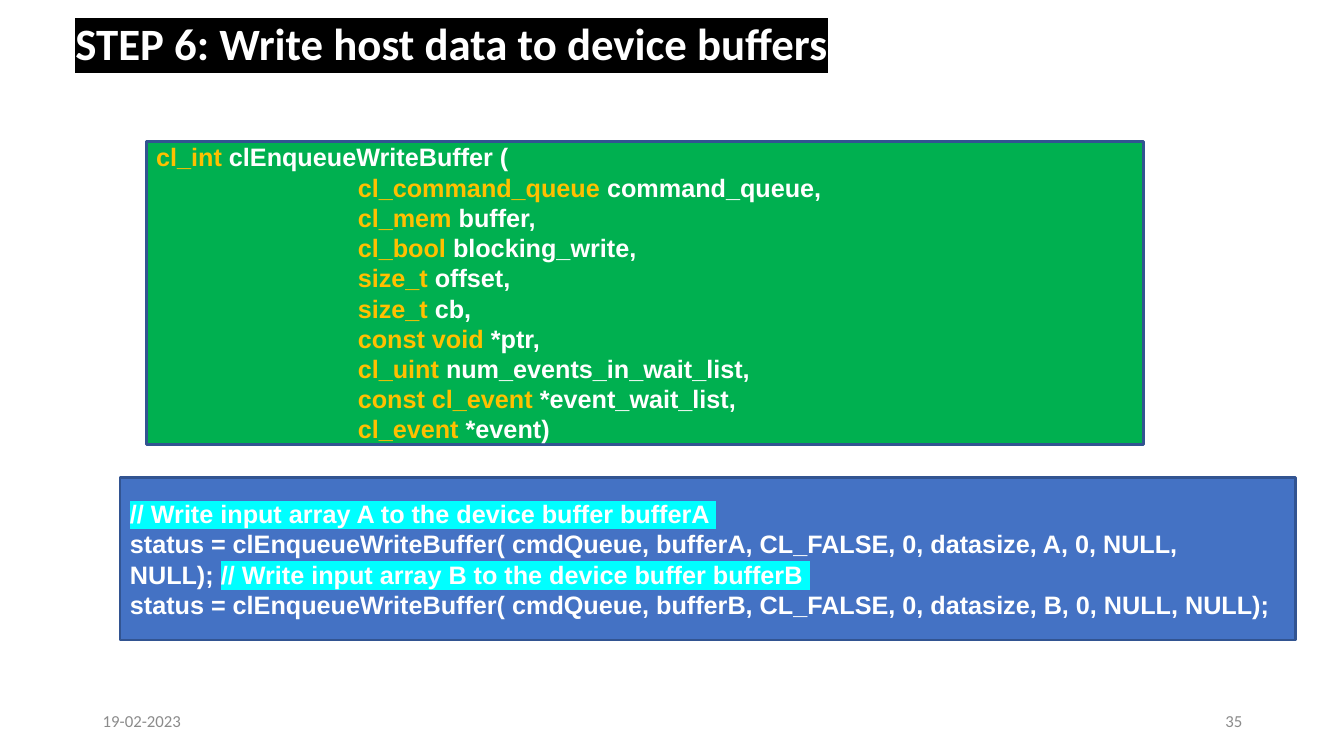
import pptx
import pptx.dml.color
import pptx.enum.shapes
import pptx.enum.text
import pptx.oxml.ns
import pptx.util
from lxml import etree
from pptx.util import Inches

WHITE, AMBER, GREY, CYAN = "FFFFFF", "FFC000", "8B8B8B", "00FFFF"
PARAMETERS = [
    ("cl_command_queue", "command_queue,"),
    ("cl_mem", "buffer,"),
    ("cl_bool", "blocking_write,"),
    ("size_t", "offset,"),
    ("size_t", "cb,"),
    ("const void", "*ptr,"),
    ("cl_uint", "num_events_in_wait_list,"),
    ("const cl_event", "*event_wait_list,"),
    ("cl_event", "*event)"),
]
WRITE_CALLS = [
    [("// Write input array A to the device buffer bufferA ", CYAN)],
    [
        ("status = clEnqueueWriteBuffer( cmdQueue, bufferA, CL_FALSE, 0, datasize, A, 0, NULL, NULL); ", None),
        ("// Write input array B to the device buffer bufferB ", CYAN),
    ],
    [("status = clEnqueueWriteBuffer( cmdQueue, bufferB, CL_FALSE, 0, datasize, B, 0, NULL, NULL);", None)],
]


def color(value):
    """Turn a hex string into a colour."""
    return pptx.dml.color.RGBColor.from_string(value)


def set_font(paragraph, name, size, bold=False, text_color=WHITE):
    """Set the font shared by all runs of a paragraph."""
    font = paragraph.font
    font.name, font.size, font.bold = name, pptx.util.Pt(size), bold
    font.color.rgb = color(text_color)


def add_run(paragraph, text, text_color=WHITE, highlight=None):
    """Append a coloured run, optionally highlighted."""
    run = paragraph.add_run()
    run.text = text
    run.font.color.rgb = color(text_color)
    if highlight:
        marker = etree.SubElement(run.font._element, pptx.oxml.ns.qn("a:highlight"))
        etree.SubElement(marker, pptx.oxml.ns.qn("a:srgbClr"), val=highlight)


def next_paragraph(frame, index):
    """Return the first paragraph of a frame or append another."""
    return frame.add_paragraph() if index else frame.paragraphs[0]


def add_text_frame(slide, box):
    """Add a wrapping, vertically centred text box."""
    frame = slide.shapes.add_textbox(*map(Inches, box)).text_frame
    frame.word_wrap = True
    frame.vertical_anchor = pptx.enum.text.MSO_ANCHOR.MIDDLE
    return frame


def add_title(slide, box, text):
    """Add the title on a black band that runs on to a tab stop."""
    title = add_text_frame(slide, box).paragraphs[0]
    title.line_spacing = 0.9
    tabs = etree.SubElement(title._p.get_or_add_pPr(), pptx.oxml.ns.qn("a:tabLst"))
    etree.SubElement(tabs, pptx.oxml.ns.qn("a:tab"), pos=str(Inches(7.76)), algn="l")
    set_font(title, "Calibri", 32, True)
    add_run(title, text + "\t", highlight="000000")


def add_footer(slide, box, text, alignment):
    """Add one grey footer entry."""
    entry = add_text_frame(slide, box).paragraphs[0]
    entry.alignment = alignment
    set_font(entry, "Calibri", 12, text_color=GREY)
    entry.add_run().text = text


def add_panel(slide, box, fill):
    """Add a filled, outlined rectangle and return its text frame."""
    panel = slide.shapes.add_shape(pptx.enum.shapes.MSO_SHAPE.RECTANGLE, *map(Inches, box))
    panel.shadow.inherit = False
    panel.fill.solid()
    panel.fill.fore_color.rgb = color(fill)
    panel.line.color.rgb = color("325491")
    panel.line.width = pptx.util.Pt(2)
    frame = panel.text_frame
    frame.word_wrap = True
    frame.vertical_anchor = pptx.enum.text.MSO_ANCHOR.MIDDLE
    return frame


def add_signature(slide, box):
    """Add the function signature with indented parameters."""
    frame = add_panel(slide, box, "00B050")
    for index, (kind, name) in enumerate([("cl_int", "clEnqueueWriteBuffer (")] + PARAMETERS):
        line = next_paragraph(frame, index)
        line.alignment = pptx.enum.text.PP_ALIGN.LEFT
        if index:
            line._p.get_or_add_pPr().set("marL", str(Inches(2)))
        set_font(line, "Arial", 18, True)
        add_run(line, kind + " ", AMBER)
        add_run(line, name)


def add_example(slide, box):
    """Add the example calls with highlighted comments."""
    frame = add_panel(slide, box, "4472C4")
    for index, pieces in enumerate(WRITE_CALLS):
        line = next_paragraph(frame, index)
        line.alignment = pptx.enum.text.PP_ALIGN.LEFT
        set_font(line, "Arial", 18, True)
        for text, highlight in pieces:
            add_run(line, text, highlight=highlight)


def main():
    """Build the slide and save it."""
    deck = pptx.Presentation()
    deck.slide_width, deck.slide_height = Inches(13.33), Inches(7.5)
    slide = deck.slides.add_slide(deck.slide_layouts[6])
    align = pptx.enum.text.PP_ALIGN
    add_footer(slide, (0.92, 6.95, 3, 0.4), "19-02-2023", align.LEFT)
    add_footer(slide, (9.42, 6.95, 3, 0.4), "35", align.RIGHT)
    add_title(slide, (0.65, 0.05, 11.5, 0.82), "STEP 6: Write host data to device buffers")
    add_example(slide, (1.19, 4.74, 11.66, 1.61))
    add_signature(slide, (1.45, 1.4, 9.89, 3.01))
    deck.save("out.pptx")


if __name__ == "__main__":
    main()
